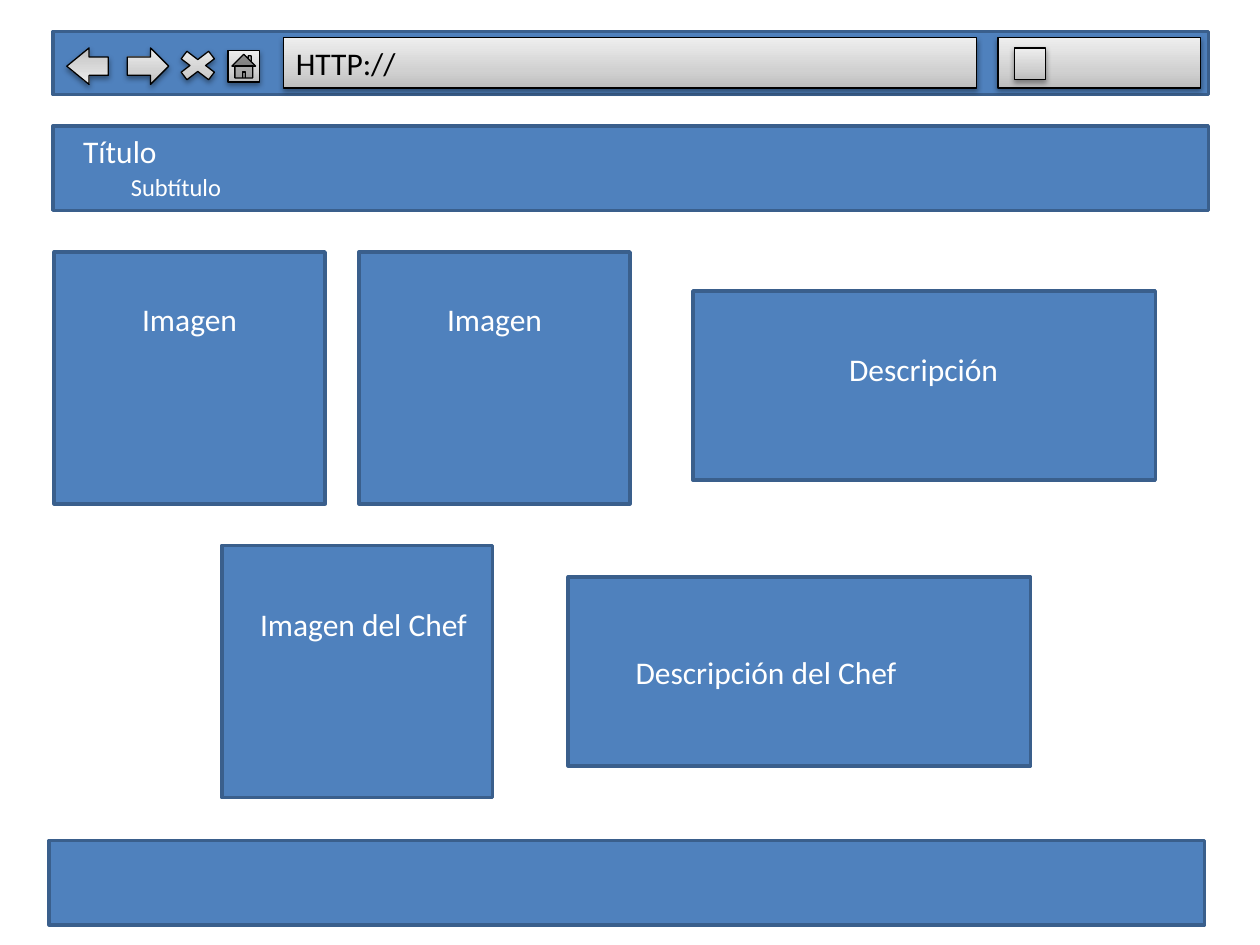
import dataclasses
import typing

import lxml.etree
import pptx
import pptx.dml.color
import pptx.enum.shapes
import pptx.enum.text
import pptx.oxml
import pptx.util

Inches = pptx.util.Inches
Pt = pptx.util.Pt
Kind = pptx.enum.shapes.MSO_SHAPE
Align = pptx.enum.text.PP_ALIGN
Anchor = pptx.enum.text.MSO_ANCHOR

NS = 'xmlns:a="http://schemas.openxmlformats.org/drawingml/2006/main"'
STOPS = ((0, "BDBDBD"), (35, "D1D1D1"), (100, "EEEEEE"))
BLUE, EDGE, WHITE, BLACK = "4F81BD", "3A5F8C", "FFFFFF", "000000"


@dataclasses.dataclass
class Panel:
    left: float
    top: float
    width: float
    height: float


@dataclasses.dataclass
class Button(Panel):
    kind: typing.Any = Kind.RECTANGLE
    turn: float = 0
    head: float = 0.5


@dataclasses.dataclass
class Label(Panel):
    text: str
    size: int = 18
    align: typing.Any = Align.CENTER


def color(value: str) -> pptx.dml.color.RGBColor:
    return pptx.dml.color.RGBColor.from_string(value)


def place(box: Panel) -> tuple:
    return tuple(Inches(n) for n in (box.left, box.top, box.width, box.height))


def outline(shape, tint: str, width: float) -> None:
    shape.line.color.rgb = color(tint)
    shape.line.width = Pt(width)


def write(shape, text: str, size: int, tint: str, align, anchor) -> None:
    frame = shape.text_frame
    frame.word_wrap = True
    frame.vertical_anchor = anchor
    para = frame.paragraphs[0]
    para.alignment = align
    run = para.add_run()
    run.text = text
    run.font.name = "Calibri"
    run.font.size = Pt(size)
    run.font.color.rgb = color(tint)


def draw_panel(slide, panel: Panel) -> None:
    shape = slide.shapes.add_shape(Kind.RECTANGLE, *place(panel))
    shape.shadow.inherit = False
    shape.fill.solid()
    shape.fill.fore_color.rgb = color(BLUE)
    outline(shape, EDGE, 2)


def draw_button(slide, button: Button):
    shape = slide.shapes.add_shape(button.kind, *place(button))
    shape.rotation = button.turn
    if button.kind == Kind.RIGHT_ARROW:
        shape.adjustments[1] = button.head
    outline(shape, BLACK, 0.75)
    # Grey gradient, dark at the bottom, and a soft shadow below
    stops = "".join(
        f'<a:gs pos="{pos * 1000}"><a:srgbClr val="{tint}"/></a:gs>'
        for pos, tint in STOPS)
    shape.line._ln.addprevious(pptx.oxml.parse_xml(
        f'<a:gradFill {NS} rotWithShape="1"><a:gsLst>{stops}</a:gsLst>'
        '<a:lin ang="16200000" scaled="0"/></a:gradFill>'))
    shape.element.spPr.append(pptx.oxml.parse_xml(
        f'<a:effectLst {NS}><a:outerShdw blurRad="{Pt(3.1)}" dist="{Pt(1.6)}"'
        f' dir="5400000" rotWithShape="0"><a:srgbClr val="{BLACK}">'
        '<a:alpha val="38000"/></a:srgbClr></a:outerShdw></a:effectLst>'))
    return shape


def draw_label(slide, label: Label) -> None:
    shape = slide.shapes.add_textbox(*place(label))
    write(shape, label.text, label.size, WHITE, label.align, Anchor.TOP)
    shape.text_frame.auto_size = pptx.enum.text.MSO_AUTO_SIZE.SHAPE_TO_FIT_TEXT


deck = pptx.Presentation()
deck.slide_width, deck.slide_height = Inches(10), Inches(7.5)
slide = deck.slides.add_slide(deck.slide_layouts[5])

# Page blocks
photos = [Panel(left, top, 2.15, 2)
          for left, top in ((0.43, 2), (2.85, 2), (1.76, 4.33))]
notes = [Panel(left, top, 3.67, 1.5)
         for left, top in ((5.5, 2.31), (4.51, 4.58))]
bars = [Panel(0.42, 0.25, 9.17, 0.5), Panel(0.42, 1, 9.17, 0.67),
        Panel(0.39, 6.67, 9.17, 0.67)]
for panel in bars + photos + notes:
    draw_panel(slide, panel)

# Browser bar
address = draw_button(slide, Button(2.25, 0.3, 5.5, 0.4))
write(address, "HTTP://", 18, BLACK, Align.LEFT, Anchor.MIDDLE)
for button in (
    Button(1.01, 0.38, 0.33, 0.29, Kind.RIGHT_ARROW),
    Button(0.53, 0.38, 0.33, 0.29, Kind.RIGHT_ARROW, 180, 0.61),
    Button(1.36, 0.36, 0.42, 0.32, Kind.MATH_MULTIPLY),
    Button(1.81, 0.4, 0.25, 0.25, Kind.ACTION_BUTTON_HOME),
    Button(7.92, 0.3, 1.61, 0.4),
    Button(8.05, 0.38, 0.25, 0.25, Kind.ACTION_BUTTON_CUSTOM),
):
    draw_button(slide, button)

# Title, brought in front of its bar
title = slide.shapes.title
title.left, title.top, title.width, title.height = place(
    Panel(0.56, 1, 1.24, 0.4))
write(title, "Título", 18, WHITE, Align.LEFT, Anchor.TOP)
title.text_frame.auto_size = pptx.enum.text.MSO_AUTO_SIZE.NONE
title.element.getparent().append(title.element)

# Labels
for label in (
    Label(0.94, 1.32, 1, 0.34, "Subtítulo", 14, Align.LEFT),
    Label(0.56, 2.33, 1.89, 0.4, "Imagen"),
    Label(2.98, 2.33, 1.89, 0.4, "Imagen"),
    Label(6.12, 2.73, 2.42, 0.4, "Descripción"),
    Label(1.94, 4.75, 1.89, 0.4, "Imagen del Chef"),
    Label(4.87, 5.13, 2.42, 0.4, "Descripción del Chef"),
):
    draw_label(slide, label)

deck.save("out.pptx")
